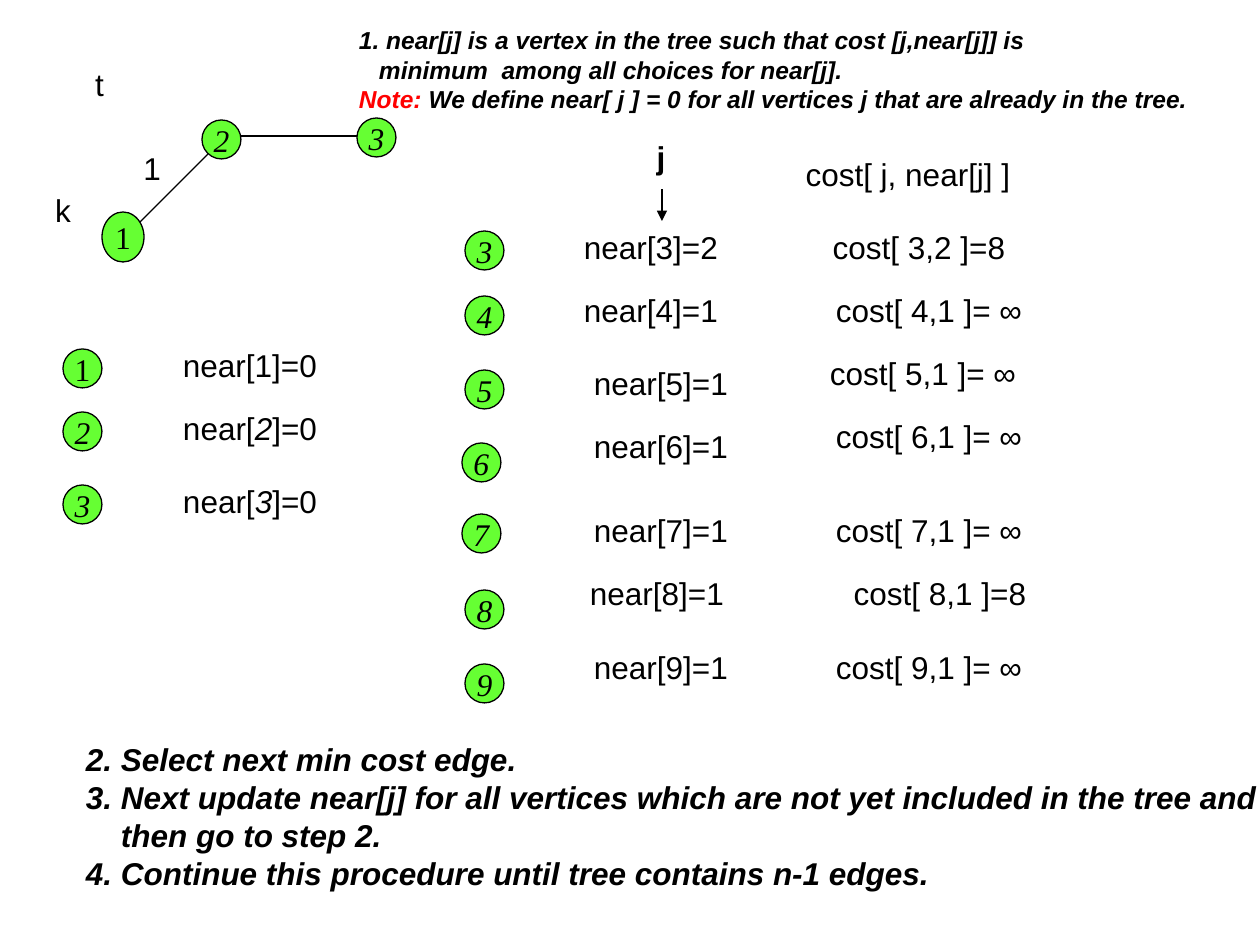
"""Builds a slide tracing the near[j] table of a minimum spanning tree."""
from dataclasses import dataclass

from lxml.etree import SubElement
from pptx import Presentation
from pptx.dml.color import RGBColor
from pptx.enum.shapes import MSO_CONNECTOR as Connector, MSO_SHAPE as Shape
from pptx.enum.text import MSO_ANCHOR as Anchor, PP_ALIGN as Align
from pptx.oxml.ns import qn
from pptx.util import Emu, Pt


@dataclass(frozen=True)
class Theme:
    ink: str = "000000"
    paper: str = "FFFFFF"
    node: str = "66FF33"
    accent: str = "FF0000"
    sans: str = "Arial"
    serif: str = "Times New Roman"
    body: int = 18
    small: int = 14
    line: float = 0.75


THEME = Theme()
SLIDE_SIZE = (1260, 945)
NODE = 39
LABEL_SIZE = (126, 32)
COST_SIZE = (242, 32)
INSET_X, INSET_Y = 13, 6

TREE_NODES = [(1, 102, 212, 42, 50), (2, 202, 120, NODE, NODE), (3, 357, 118, NODE, NODE)]
EDGES = [((136, 226), (208, 154), False), ((241, 136), (357, 136), False)]
POINTER = ((662, 189), (662, 221), True)
TREE_LABELS = [("t", 73, 63, 53, 42), ("k", 42, 189, 42, 42), ("1", 136, 147, 32, 42)]

IN_TREE = [(1, 349), (2, 412), (3, 485)]
IN_TREE_NODE_X, IN_TREE_LABEL_X = 63, 187

OUTSIDE = [
    (3, "near[3]=2", "cost[ 3,2 ]=8", (465, 231), (588, 231), (798, 231)),
    (4, "near[4]=1", "cost[ 4,1 ]= ∞", (465, 296), (588, 294), (808, 294)),
    (5, "near[5]=1", "cost[ 5,1 ]= ∞", (465, 370), (598, 367), (802, 357)),
    (6, "near[6]=1", "cost[ 6,1 ]= ∞", (462, 443), (598, 430), (808, 420)),
    (7, "near[7]=1", "cost[ 7,1 ]= ∞", (462, 514), (598, 514), (808, 514)),
    (8, "near[8]=1", "cost[ 8,1 ]=8", (465, 590), (594, 577), (819, 577)),
    (9, "near[9]=1", "cost[ 9,1 ]= ∞", (465, 664), (598, 651), (808, 651)),
]

NOTE = [
    (0, [("1. near[j] is a vertex in the tree such that cost [j,near[j]] is", THEME.ink)]),
    (20, [("minimum  among all choices for near[j].", THEME.ink)]),
    (0, [("Note: ", THEME.accent),
         ("We define near[ j ] = 0 for all vertices j that are already in the tree.", THEME.ink)]),
]
STEPS = [
    (0, [("2. Select next min cost edge.", THEME.ink)]),
    (0, [("3. Next update near[j] for all vertices which are not yet included in the tree and",
          THEME.ink)]),
    (35, [("then go to step 2.", THEME.ink)]),
    (0, [("4. Continue this procedure until tree contains n-1 edges.", THEME.ink)]),
]


def px(value):
    return Emu(round(value * 914400 / 126))


def add_run(paragraph, text, font=THEME.sans, size=THEME.body, color=THEME.ink,
            bold=False, italic=False):
    run = paragraph.add_run()
    run.text = text
    run.font.name, run.font.size = font, Pt(size)
    run.font.bold, run.font.italic = bold, italic
    run.font.color.rgb = RGBColor.from_string(color)


def add_box(slide, kind, left, top, width, height, fill, line, space_below=0):
    shape = slide.shapes.add_shape(kind, px(left), px(top), px(width), px(height))
    shape.shadow.inherit = False
    shape.fill.solid()
    shape.fill.fore_color.rgb = RGBColor.from_string(fill)
    shape.line.color.rgb = RGBColor.from_string(line)
    shape.line.width = Pt(THEME.line)
    frame = shape.text_frame
    frame.word_wrap = False
    frame.vertical_anchor = Anchor.MIDDLE
    frame.margin_left = frame.margin_right = px(INSET_X)
    frame.margin_top, frame.margin_bottom = px(INSET_Y), px(INSET_Y + space_below)
    frame.paragraphs[0].alignment = Align.CENTER
    return frame


def add_label(slide, runs, left, top, width, height, bold=False):
    frame = add_box(slide, Shape.RECTANGLE, left, top, width, height, THEME.paper, THEME.paper)
    for text, italic in runs:
        add_run(frame.paragraphs[0], text, bold=bold, italic=italic)


def add_node(slide, vertex, left, top, width=NODE, height=NODE):
    frame = add_box(slide, Shape.OVAL, left, top, width, height, THEME.node, THEME.ink)
    add_run(frame.paragraphs[0], str(vertex), font=THEME.serif, italic=vertex != 1)


def add_notes_block(slide, lines, left, top, width, height, size, space_below):
    frame = add_box(slide, Shape.RECTANGLE, left, top, width, height,
                    THEME.paper, THEME.paper, space_below)
    for index, (indent, runs) in enumerate(lines):
        paragraph = frame.add_paragraph() if index else frame.paragraphs[0]
        paragraph.alignment = Align.LEFT
        paragraph._p.get_or_add_pPr().set("marL", str(px(indent)))
        for text, color in runs:
            add_run(paragraph, text, size=size, color=color, bold=True, italic=True)


def add_line(slide, start, end, arrow):
    connector = slide.shapes.add_connector(Connector.STRAIGHT, *map(px, start + end))
    connector.line.color.rgb = RGBColor.from_string(THEME.ink)
    connector.line.width = Pt(THEME.line)
    if arrow:
        SubElement(connector.line._get_or_add_ln(), qn("a:tailEnd"), type="triangle")
    SubElement(connector._element.spPr, qn("a:effectLst"))


def main():
    presentation = Presentation()
    presentation.slide_width, presentation.slide_height = map(px, SLIDE_SIZE)
    slide = presentation.slides.add_slide(presentation.slide_layouts[6])

    add_notes_block(slide, NOTE, 346, 31, 820, 105, THEME.small, 28)
    add_notes_block(slide, STEPS, 73, 756, 1134, 158, THEME.body, 38)
    for text, *place in TREE_LABELS:
        add_label(slide, [(text, False)], *place)
    for line in EDGES + [POINTER]:
        add_line(slide, *line)
    for node in TREE_NODES:
        add_node(slide, *node)

    for vertex, top in IN_TREE:
        add_node(slide, vertex, IN_TREE_NODE_X, top)
        runs = [("near[", False), (str(vertex), vertex != 1), ("]=0", False)]
        add_label(slide, runs, IN_TREE_LABEL_X, top, *LABEL_SIZE)

    add_label(slide, [("j", False)], 640, 136, 42, 42, bold=True)
    add_label(slide, [("cost[ j, near[j] ]", False)], 787, 158, *COST_SIZE)
    for vertex, near, cost, node_at, near_at, cost_at in OUTSIDE:
        add_node(slide, vertex, *node_at)
        add_label(slide, [(near, False)], *near_at, *LABEL_SIZE)
        add_label(slide, [(cost, False)], *cost_at, *COST_SIZE)

    presentation.save("out.pptx")


if __name__ == "__main__":
    main()
